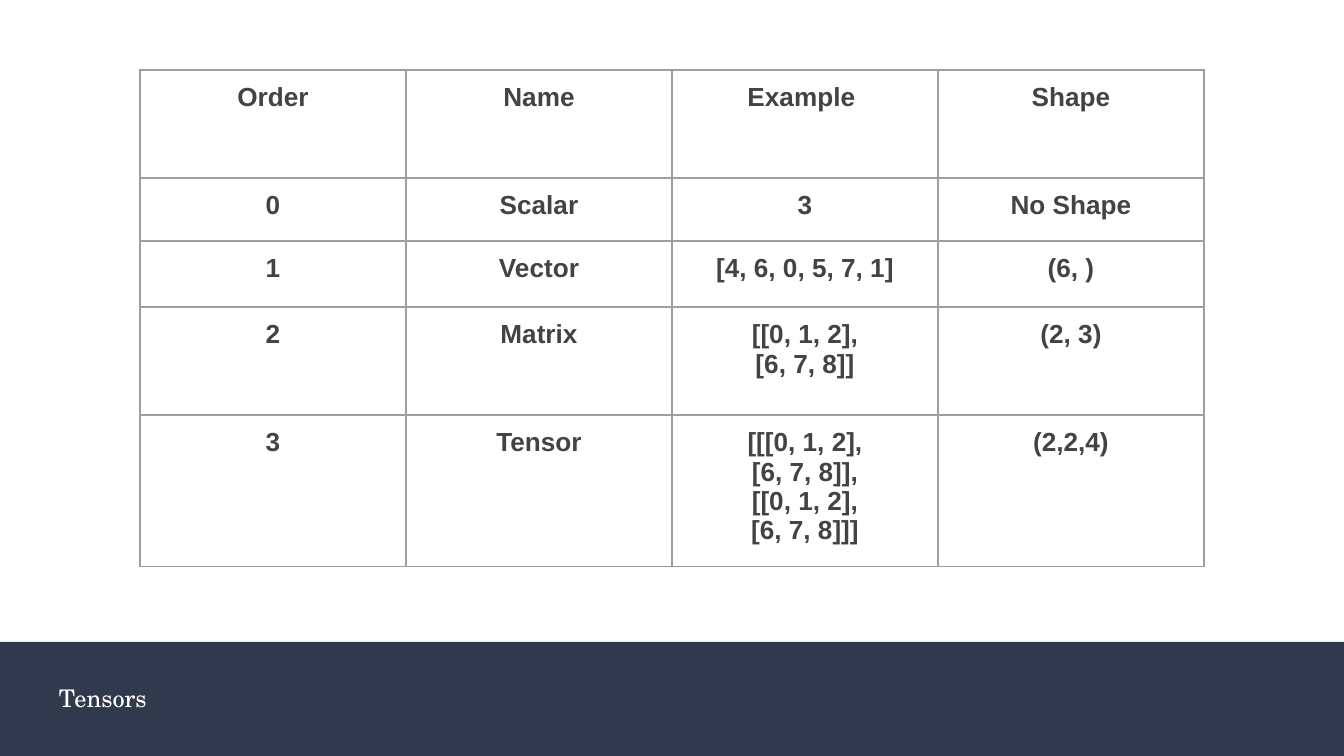
import pptx
import pptx.dml.color
import pptx.enum.shapes
import pptx.enum.text
import pptx.oxml
import pptx.oxml.ns
import pptx.util
from lxml import etree

PX = 914400 / 134.4  # EMU in one pixel
SLIDE_WIDTH, SLIDE_HEIGHT = 1344, 756
INSET = 13

NAVY = pptx.dml.color.RGBColor(0x31, 0x39, 0x4D)
WHITE = pptx.dml.color.RGBColor(0xFF, 0xFF, 0xFF)
DARK_GREY = pptx.dml.color.RGBColor(0x43, 0x43, 0x43)
BORDER_GREY = pptx.dml.color.RGBColor(0x9E, 0x9E, 0x9E)

LEFT = pptx.enum.text.PP_ALIGN.LEFT
CENTER = pptx.enum.text.PP_ALIGN.CENTER

COLUMN_WIDTH = 266
ROW_HEIGHTS = [108, 63, 66, 108, 108]
TENSOR_ROWS = [
    ["Order", "Name", "Example ", "Shape"],
    ["0", "Scalar", "3", "No Shape"],
    ["1", "Vector", "[4, 6, 0, 5, 7, 1]", "(6, )"],
    ["2", "Matrix", "[[0, 1, 2],\n[6, 7, 8]]", "(2, 3)"],
    ["3", "Tensor", "[[[0, 1, 2],\n[6, 7, 8]],\n[[0, 1, 2],\n[6, 7, 8]]]", "(2,2,4)"],
]


def px(length):
    return pptx.util.Emu(round(length * PX))


def write(frame, text, *, font, size, color, bold=False, align=LEFT):
    """Fill a text frame, one paragraph for each line of the text."""
    frame.word_wrap = True
    frame.text = text
    for paragraph in frame.paragraphs:
        paragraph.alignment = align
        for run in paragraph.runs:
            run.font.name = font
            run.font.size = pptx.util.Pt(size)
            run.font.bold = bold
            run.font.color.rgb = color


def set_insets(box):
    box.margin_left = box.margin_right = px(INSET)
    box.margin_top = box.margin_bottom = px(INSET)


def add_band(slide, left, top, width, height, color):
    band = slide.shapes.add_shape(
        pptx.enum.shapes.MSO_SHAPE.RECTANGLE, px(left), px(top), px(width), px(height))
    band.shadow.inherit = False
    band.fill.solid()
    band.fill.fore_color.rgb = color
    band.line.fill.background()


def add_caption(slide, text, left, top, width, height):
    caption = slide.shapes.add_textbox(px(left), px(top), px(width), px(height))
    frame = caption.text_frame
    set_insets(frame)
    frame.vertical_anchor = pptx.enum.text.MSO_ANCHOR.MIDDLE
    write(frame, text, font="TeX Gyre Schola", size=13, color=WHITE)


def add_borders(cell, color, points):
    """Draw all four cell sides; they come before the fill in the schema."""
    properties = cell._tc.get_or_add_tcPr()
    for position, side in enumerate(("a:lnL", "a:lnR", "a:lnT", "a:lnB")):
        line = etree.Element(pptx.oxml.ns.qn(side), w=str(pptx.util.Pt(points)))
        fill = etree.SubElement(line, pptx.oxml.ns.qn("a:solidFill"))
        etree.SubElement(fill, pptx.oxml.ns.qn("a:srgbClr"), val=str(color))
        properties.insert(position, line)


def add_grid(slide, rows, left, top):
    columns = len(rows[0])
    table = slide.shapes.add_table(
        len(rows), columns, px(left), px(top),
        px(columns * COLUMN_WIDTH), px(sum(ROW_HEIGHTS))).table
    table.first_row = table.horz_banding = False
    for column in table.columns:
        column.width = px(COLUMN_WIDTH)
    for row, height, texts in zip(table.rows, ROW_HEIGHTS, rows):
        row.height = px(height)
        for cell, text in zip(row.cells, texts):
            set_insets(cell)
            cell.fill.background()
            add_borders(cell, BORDER_GREY, 0.75)
            write(cell.text_frame, text, font="Arial", size=14,
                  color=DARK_GREY, bold=True, align=CENTER)


def main():
    presentation = pptx.Presentation()
    presentation.slide_width = px(SLIDE_WIDTH)
    presentation.slide_height = px(SLIDE_HEIGHT)
    slide = presentation.slides.add_slide(presentation.slide_layouts[6])

    # Footer band with the slide's caption
    add_band(slide, 0, 642, SLIDE_WIDTH, 114, NAVY)
    add_caption(slide, "Tensors", 46, 664, 1173, 67)

    # Tensors by order
    add_grid(slide, TENSOR_ROWS, 140, 70)

    presentation.save("out.pptx")


if __name__ == "__main__":
    main()
